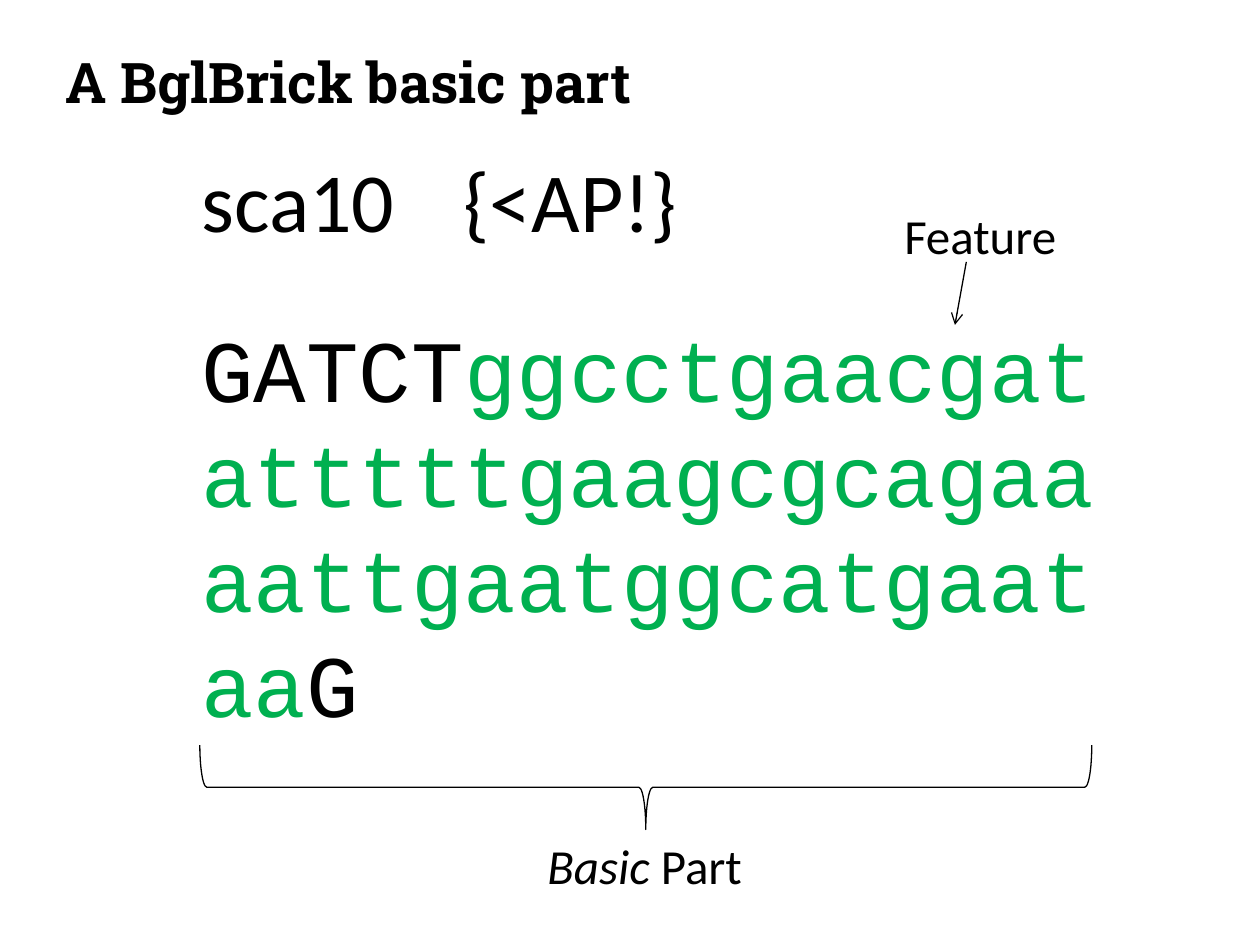
from lxml.etree import SubElement
from pptx import Presentation
from pptx.dml.color import RGBColor
from pptx.enum.shapes import MSO_CONNECTOR as Connector, MSO_SHAPE as Preset
from pptx.enum.text import MSO_ANCHOR as Anchor, MSO_AUTO_SIZE as AutoSize, PP_ALIGN as Align
from pptx.oxml.ns import qn
from pptx.util import Cm, Pt

BLACK = RGBColor(0x00, 0x00, 0x00)
GREEN = RGBColor(0x00, 0xB0, 0x50)
LINE_WIDTH = Pt(0.75)
FEATURE_SEQUENCE = "ggcctgaacgatatttttgaagcgcagaaaattgaatggcatgaataa"


def write(frame, texts, size, font="Calibri", wrap=False):
    """Fill a text frame with one left-aligned paragraph and return its runs."""
    frame.word_wrap = wrap
    frame.auto_size = AutoSize.SHAPE_TO_FIT_TEXT
    frame.vertical_anchor = Anchor.TOP
    paragraph = frame.paragraphs[0]
    paragraph.alignment = Align.LEFT
    paragraph.font.name = font
    paragraph.font.size = Pt(size)
    paragraph.font.color.rgb = BLACK
    runs = []
    for text in texts:
        run = paragraph.add_run()
        run.text = text
        runs.append(run)
    return runs


def add_label(slide, left, top, width, height, texts, size, **style):
    """Add a text box, measured in centimetres, and return its runs."""
    label = slide.shapes.add_textbox(Cm(left), Cm(top), Cm(width), Cm(height))
    return write(label.text_frame, texts, size, **style)


def place_title(slide, left, top, width, height):
    """Move and format the title placeholder."""
    title = slide.shapes.title
    title.left, title.top, title.width, title.height = map(Cm, (left, top, width, height))
    write(title.text_frame, ["A BglBrick basic part"], 32, font="Roboto Slab")
    title.text_frame.paragraphs[0].font.bold = True


def add_part_name(slide, left, top, width, height):
    """Add the part name and its short description on one row."""
    name_width, description_width = 4.45, 4.88
    add_label(slide, left, top, name_width, height, ["sca10"], 48)
    add_label(slide, left + width - description_width, top, description_width, height,
              ["{<AP!}"], 48)


def add_sequence(slide, left, top, width, height):
    """Add the DNA sequence with its feature in green."""
    _, feature, _ = add_label(slide, left, top, width, height,
                              ["GATCT", FEATURE_SEQUENCE, "G"], 50,
                              font="Courier New", wrap=True)
    feature.font.color.rgb = GREEN


def add_feature_callout(slide, left, top, width, height):
    """Add the feature label with an arrow down to the sequence."""
    arrow = slide.shapes.add_connector(
        Connector.STRAIGHT, Cm(left + 1.5), Cm(top + 1.27), Cm(left + 1.27), Cm(top + height))
    arrow.line.color.rgb = BLACK
    arrow.line.width = LINE_WIDTH
    SubElement(arrow.line._get_or_add_ln(), qn("a:tailEnd"), type="arrow")
    SubElement(arrow._element.spPr, qn("a:effectLst"))
    add_label(slide, left, top, width, 1.45, ["Feature"], 28)


def add_part_brace(slide, left, top, width, height):
    """Add a brace opening upwards across the box, with its label centred below."""
    depth, label_width, label_height = 1.7, 4.47, 1.45
    brace = slide.shapes.add_shape(
        Preset.LEFT_BRACE, Cm(left + (width - depth) / 2), Cm(top + (depth - width) / 2),
        Cm(depth), Cm(width))
    brace.rotation = 270
    brace.shadow.inherit = False
    brace.fill.background()
    brace.line.color.rgb = BLACK
    brace.line.width = LINE_WIDTH
    basic, _ = add_label(slide, left + (width - label_width) / 2, top + height - label_height,
                         label_width, label_height, ["Basic ", "Part"], 28)
    basic.font.italic = True


def main():
    """Build and save the slide."""
    deck = Presentation()
    deck.slide_width, deck.slide_height = Cm(25.4), Cm(19.05)
    slide = deck.slides.add_slide(deck.slide_layouts.get_by_name("Title Only"))
    place_title(slide, 1.07, 0.84, 14.94, 1.63)
    add_part_name(slide, 3.81, 2.86, 10.16, 2.31)
    add_sequence(slide, 3.81, 6.22, 19.05, 8.81)
    add_feature_callout(slide, 17.98, 4.01, 3.61, 2.54)
    add_part_brace(slide, 4.03, 15.02, 17.98, 3.14)
    deck.save("out.pptx")


if __name__ == "__main__":
    main()
